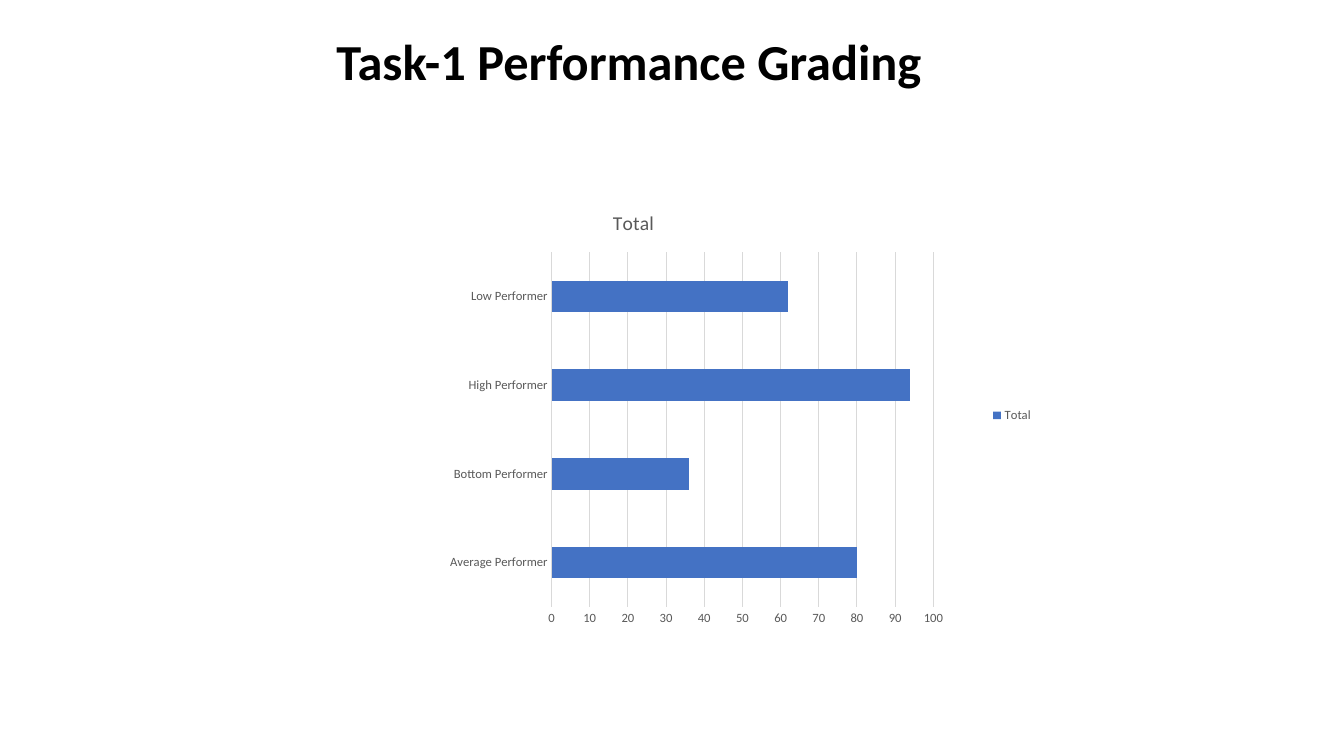
import pptx
import pptx.util
import pptx.dml.color
import pptx.chart.data
import pptx.enum.chart
import pptx.enum.text
import pptx.oxml
import pptx.oxml.ns
from pptx.util import Cm, Pt

GREY, PALE, BLUE = "595959", "D9D9D9", "4472C4"


def rgb(code):
    return pptx.dml.color.RGBColor.from_string(code)


def style(font, size, color, bold=False):
    font.name = "Calibri"
    font.size = Pt(size)
    font.bold = bold
    font.color.rgb = rgb(color)


deck = pptx.Presentation()
deck.slide_width, deck.slide_height = Cm(33.87), Cm(19.05)
slide = deck.slides.add_slide(deck.slide_layouts[6])

# Heading
box = slide.shapes.add_textbox(Cm(3.91), Cm(1.37), Cm(24.18), Cm(1.07))
frame = box.text_frame
frame.word_wrap = True
frame.vertical_anchor = pptx.enum.text.MSO_ANCHOR.BOTTOM
frame.text = "Task-1 Performance Grading "
head = frame.paragraphs[0]
head.alignment = pptx.enum.text.PP_ALIGN.CENTER
head.line_spacing = 0.9
style(head.runs[0].font, 36, "000000", True)

# Bar chart
data = pptx.chart.data.CategoryChartData()
data.categories = ["Average Performer", "Bottom Performer",
                   "High Performer", "Low Performer"]
data.add_series("Total", [80, 36, 94, 62])
chart = slide.shapes.add_chart(
    pptx.enum.chart.XL_CHART_TYPE.BAR_CLUSTERED,
    Cm(5.64), Cm(4.83), Cm(20.65), Cm(11.28), data).chart
style(chart.font, 10, "000000")

# Chart title and legend
chart.has_title = True
title = chart.chart_title.text_frame
title.text = "Total"
style(title.paragraphs[0].runs[0].font, 14, GREY)
chart.chart_title.include_in_layout = False
chart.has_legend = True
chart.legend.position = pptx.enum.chart.XL_LEGEND_POSITION.RIGHT
chart.legend.include_in_layout = False
style(chart.legend.font, 9, GREY)

# Bars
plot = chart.plots[0]
plot.gap_width = 182
plot.vary_by_categories = False
fill = plot.series[0].format.fill
fill.solid()
fill.fore_color.rgb = rgb(BLUE)

# Axes and grid
names, scale = chart.category_axis, chart.value_axis
for axis in (names, scale):
    axis.major_tick_mark = pptx.enum.chart.XL_TICK_MARK.NONE
    axis.minor_tick_mark = pptx.enum.chart.XL_TICK_MARK.NONE
    style(axis.tick_labels.font, 9, GREY)
scale.minimum_scale, scale.maximum_scale, scale.major_unit = 0, 100, 10
scale.has_major_gridlines = True
scale.format.line.fill.background()
for line in (names.format.line, scale.major_gridlines.format.line):
    line.color.rgb = rgb(PALE)
    line.width = Pt(0.75)

# Place of the plot area, as shares of the chart
area = chart.plots[0]._element.getparent()
for old in area.findall(pptx.oxml.ns.qn("c:layout")):
    area.remove(old)
parts = [("layoutTarget", "inner"), ("xMode", "edge"), ("yMode", "edge"),
         ("x", 0.4), ("y", 0.135), ("w", 0.466), ("h", 0.793)]
inner = "".join(f'<c:{tag} val="{val}"/>' for tag, val in parts)
area.insert(0, pptx.oxml.parse_xml(
    f'<c:layout {pptx.oxml.ns.nsdecls("c")}>'
    f'<c:manualLayout>{inner}</c:manualLayout></c:layout>'))

deck.save("out.pptx")
